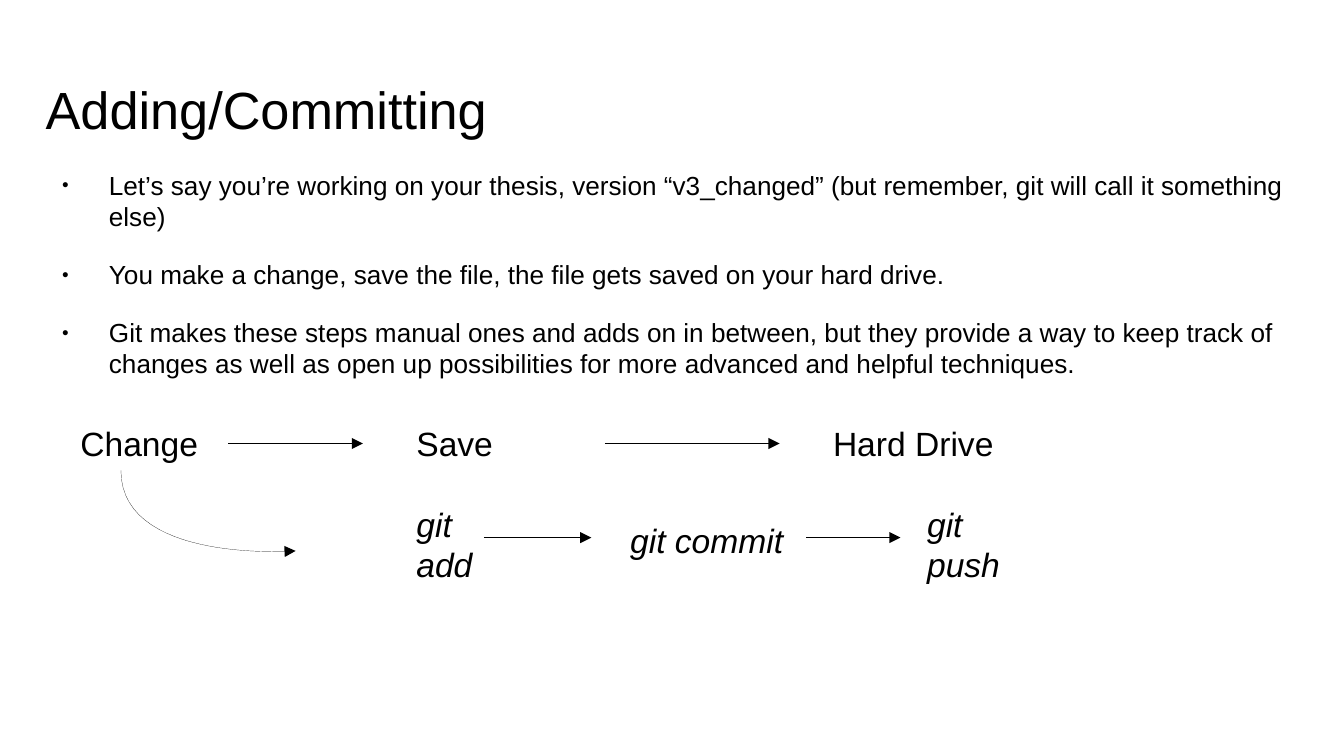
from pptx import Presentation
from pptx import util as u
from pptx.dml.color import RGBColor
from pptx.enum import shapes, text
from pptx.oxml import parse_xml
from pptx.oxml.ns import nsdecls, qn

BLACK = RGBColor(0, 0, 0)
WIDE = u.Inches(10)
HIGH = WIDE * 9 // 16
UNIT = WIDE // 100
POINTS = [
    "Let’s say you’re working on your thesis, version “v3_changed” (but remember, git will call it something else)",
    "You make a change, save the file, the file gets saved on your hard drive.",
    "Git makes these steps manual ones and adds on in between, but they provide a way to keep track of changes "
    "as well as open up possibilities for more advanced and helpful techniques.",
]
STEPS = [
    ("Change", 0, 0, 12, 6.6, False),
    ("Save", 25, 0, 14, 3.8, False),
    ("Hard Drive", 56, 0, 15, 3.8, False),
    ("git add", 25, 6, 7, 6.6, True),
    ("git commit", 40.9, 7.2, 14.1, 3.8, True),
    ("git push", 63, 6, 10, 6.6, True),
]
ARROWS = [(12, 22, 2), (40, 53, 2), (31, 39, 9), (55, 62, 9)]
CURVE = [(4, 4), (4, 11), (17, 10), (17, 10)]


def grid(*vals):
    return [int(v * UNIT) for v in vals]


def put(shape, box):
    shape.left, shape.top, shape.width, shape.height = grid(*box)


def write(para, words, size=18, slant=False, before=0):
    para.alignment = text.PP_ALIGN.LEFT
    para.space_before = u.Pt(before)
    run = para.add_run()
    run.text = words
    font = run.font
    font.name, font.size, font.italic = "Arial", u.Pt(size), slant
    font.color.rgb = BLACK


def frame(shape, inset=True, anchor=text.MSO_ANCHOR.TOP, fit=text.MSO_AUTO_SIZE.NONE):
    body = shape.text_frame
    body.word_wrap = True
    body.auto_size = fit
    body.vertical_anchor = anchor
    side, edge = grid(1, 0.5) if inset else (0, 0)
    body.margin_left = body.margin_right = side
    body.margin_top = body.margin_bottom = edge
    return body


def bullet(para):
    props = para._p.get_or_add_pPr()
    props.set("marL", str(u.Inches(0.47)))
    props.set("indent", str(u.Inches(-0.35)))
    for part in (
        f'<a:buClr {nsdecls("a")}><a:srgbClr val="{BLACK}"/></a:buClr>',
        f'<a:buSzPct {nsdecls("a")} val="45000"/>',
        f'<a:buFont {nsdecls("a")} typeface="Arial"/>',
        f'<a:buChar {nsdecls("a")} char="●"/>',
    ):
        props.append(parse_xml(part))


def pen(shape):
    node = shape._element
    node.remove(node.find(qn("p:style")))
    shape.line.color.rgb = BLACK
    line = shape.line._get_or_add_ln()
    line.append(parse_xml(f'<a:tailEnd {nsdecls("a")} type="triangle"/>'))


def head(slide, box):
    title = slide.shapes.title
    put(title, box)
    body = frame(title, inset=False, anchor=text.MSO_ANCHOR.MIDDLE)
    write(body.paragraphs[0], "Adding/Committing", size=28)


def listing(slide, box):
    holder = slide.placeholders[1]
    put(holder, box)
    body = frame(holder, inset=False)
    for row, words in enumerate(POINTS):
        para = body.add_paragraph() if row else body.paragraphs[0]
        write(para, words, size=14, before=14.2)
        bullet(para)


def arrow(slide, start, end):
    link = slide.shapes.add_connector(shapes.MSO_CONNECTOR.STRAIGHT, *grid(*start, *end))
    pen(link)
    link._element.find(qn("p:spPr")).append(parse_xml(f'<a:effectLst {nsdecls("a")}/>'))


def bend(slide, knots, steps=30):
    def spot(t):
        mix = ((1 - t) ** 3, 3 * t * (1 - t) ** 2, 3 * t * t * (1 - t), t ** 3)
        return grid(*(sum(m * k[axis] for m, k in zip(mix, knots)) for axis in (0, 1)))

    path = [spot(n / steps) for n in range(steps + 1)]
    form = slide.shapes.build_freeform(*path[0])
    form.add_line_segments(path[1:], close=False)
    curve = form.convert_to_shape()
    curve.fill.background()
    curve.shadow.inherit = False
    pen(curve)


def flow(slide, box):
    left, top = box
    for words, col, row, wide, high, slant in STEPS:
        label = slide.shapes.add_textbox(*grid(left + col, top + row, wide, high))
        body = frame(label, fit=text.MSO_AUTO_SIZE.SHAPE_TO_FIT_TEXT)
        write(body.paragraphs[0], words, slant=slant)
    for start, end, row in ARROWS:
        arrow(slide, (left + start, top + row), (left + end, top + row))
    bend(slide, [(left + col, top + row) for col, row in CURVE])


def main():
    deck = Presentation()
    deck.slide_width, deck.slide_height = WIDE, HIGH
    slide = deck.slides.add_slide(deck.slide_layouts[1])
    head(slide, (3.4, 4.9, 93.2, 6.3))
    listing(slide, (3.4, 12.6, 93.2, 17.4))
    flow(slide, (5, 31))
    deck.save("out.pptx")


if __name__ == "__main__":
    main()
